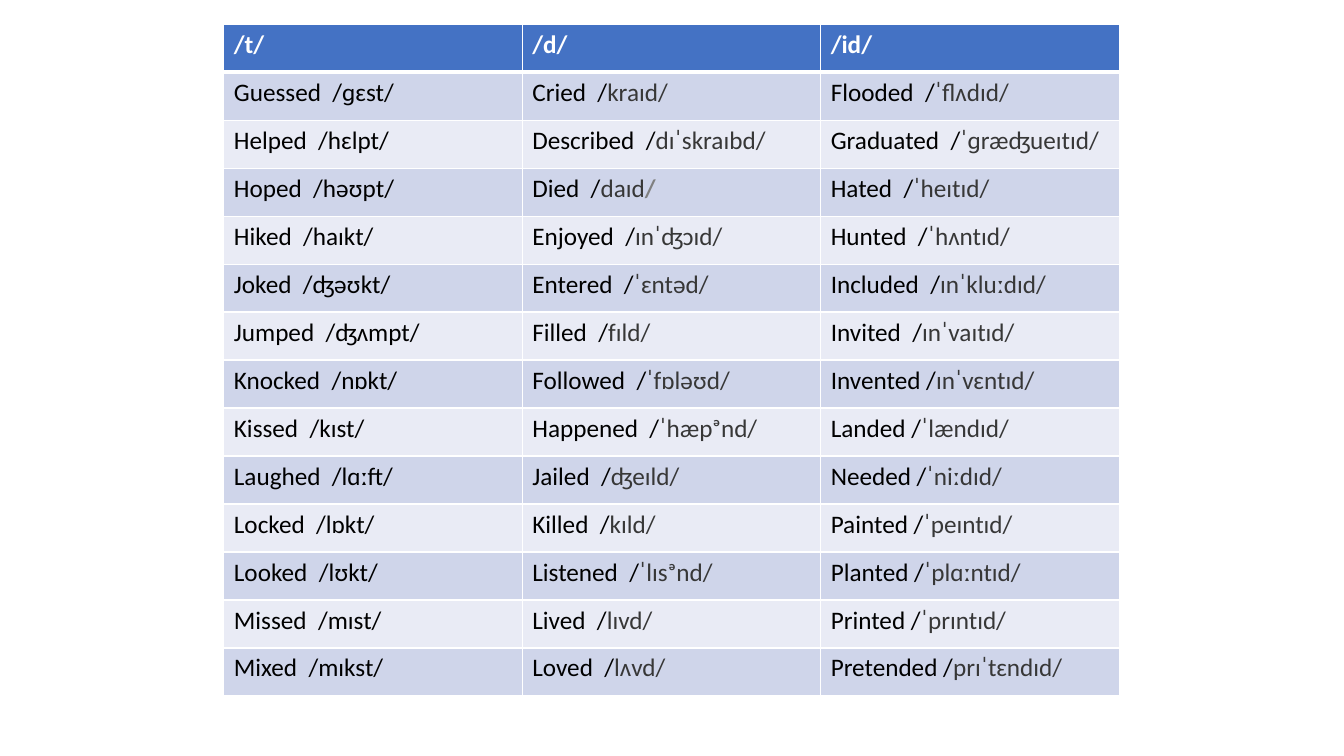
from lxml.etree import SubElement
from pptx import Presentation
from pptx.dml.color import RGBColor
from pptx.oxml.ns import qn
from pptx.util import Inches, Pt

COLORS = {
    "header": "4472C4",
    "odd_band": "CFD5EA",
    "even_band": "E9EBF5",
    "white": "FFFFFF",
    "word": "000000",
    "sound": "373737",
    "faded": "808080",
}

ENDINGS = ["/t/", "/d/", "/id/"]
VERBS = [
    ("Guessed  /ɡɛst/", "Cried  /kraɪd/", "Flooded  /ˈflʌdɪd/"),
    ("Helped  /hɛlpt/", "Described  /dɪˈskraɪbd/", "Graduated  /ˈɡræʤueɪtɪd/"),
    ("Hoped  /həʊpt/", "Died  /daɪd/", "Hated  /ˈheɪtɪd/"),
    ("Hiked  /haɪkt/", "Enjoyed  /ɪnˈʤɔɪd/", "Hunted  /ˈhʌntɪd/"),
    ("Joked  /ʤəʊkt/", "Entered  /ˈɛntəd/", "Included  /ɪnˈkluːdɪd/"),
    ("Jumped  /ʤʌmpt/", "Filled  /fɪld/", "Invited  /ɪnˈvaɪtɪd/"),
    ("Knocked  /nɒkt/", "Followed  /ˈfɒləʊd/", "Invented /ɪnˈvɛntɪd/"),
    ("Kissed  /kɪst/", "Happened  /ˈhæpᵊnd/", "Landed /ˈlændɪd/"),
    ("Laughed  /lɑːft/", "Jailed  /ʤeɪld/", "Needed /ˈniːdɪd/"),
    ("Locked  /lɒkt/", "Killed  /kɪld/", "Painted /ˈpeɪntɪd/"),
    ("Looked  /lʊkt/", "Listened  /ˈlɪsᵊnd/", "Planted /ˈplɑːntɪd/"),
    ("Missed  /mɪst/", "Lived  /lɪvd/", "Printed /ˈprɪntɪd/"),
    ("Mixed  /mɪkst/", "Loved  /lʌvd/", "Pretended /prɪˈtɛndɪd/"),
]


def color(name):
    return RGBColor.from_string(COLORS[name])


def verb_runs(verb, column):
    """Split a verb into (text, color, bold) runs; only the /t/ column is all black."""
    if column == 0:
        return [(verb, "word", False)]
    word, slash, sound = verb.partition("/")
    runs = [(word + slash, "word", False)]
    if word.startswith("Died"):
        return runs + [(sound[:-1], "sound", False), (sound[-1], "faded", True)]
    return runs + [(sound, "sound", False)]


class SlideBuilder:
    def __init__(self, slide, font="Calibri", size=18):
        self.slide = slide
        self.font = font
        self.size = size

    def border(self, cell, **widths):
        """Draw white borders; widths maps L, R, T, B to points."""
        properties = cell._tc.get_or_add_tcPr()
        for side, width in widths.items():
            line = SubElement(properties, qn(f"a:ln{side}"), w=str(Pt(width)))
            fill = SubElement(line, qn("a:solidFill"))
            SubElement(fill, qn("a:srgbClr"), val=COLORS["white"])

    def cell(self, cell, runs, fill):
        cell.fill.solid()
        cell.fill.fore_color.rgb = color(fill)
        paragraph = cell.text_frame.paragraphs[0]
        paragraph.font.name = self.font
        paragraph.font.size = Pt(self.size)
        for text, run_color, bold in runs:
            run = paragraph.add_run()
            run.text = text
            run.font.color.rgb = color(run_color)
            run.font.bold = bold

    def verb_table(self, left, top, column_width, row_height):
        row_count, column_count = len(VERBS) + 1, len(ENDINGS)
        table = self.slide.shapes.add_table(
            row_count, column_count, Inches(left), Inches(top),
            Inches(column_width * column_count), Inches(row_height * row_count),
        ).table
        for column in table.columns:
            column.width = Inches(column_width)
        for row in table.rows:
            row.height = Inches(row_height)
        for r, texts in enumerate([ENDINGS, *VERBS]):
            band = "odd_band" if r % 2 else "even_band"
            for c, text in enumerate(texts):
                cell = table.cell(r, c)
                self.border(cell, L=1, R=1, T=3 if r == 1 else 1, B=3 if r == 0 else 1)
                if r == 0:
                    self.cell(cell, [(text, "white", True)], "header")
                else:
                    self.cell(cell, verb_runs(text, c), band)


def main():
    deck = Presentation()
    deck.slide_width, deck.slide_height = Inches(13.33), Inches(7.5)
    blank = deck.slide_layouts[6]
    builder = SlideBuilder(deck.slides.add_slide(blank))
    builder.verb_table(left=2.22, top=0.24, column_width=2.96, row_height=0.476)
    deck.save("out.pptx")


if __name__ == "__main__":
    main()
